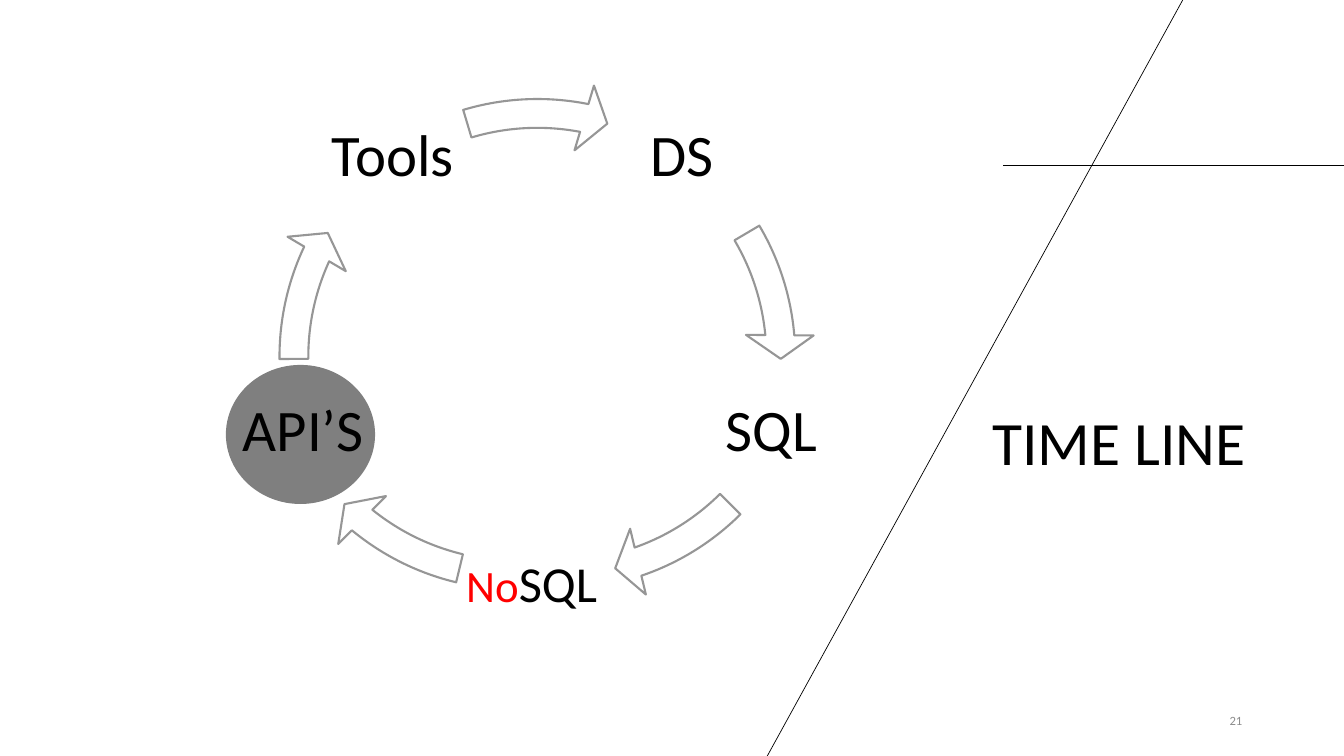
import math
from lxml import etree
from pptx import Presentation
from pptx.dml.color import RGBColor
from pptx.enum.shapes import MSO_CONNECTOR, MSO_SHAPE
from pptx.enum.text import MSO_ANCHOR, MSO_AUTO_SIZE, PP_ALIGN
from pptx.oxml.ns import qn
from pptx.util import Inches, Pt

LINE = MSO_CONNECTOR.STRAIGHT
CIRCULAR_ARROW, OVAL = MSO_SHAPE.CIRCULAR_ARROW, MSO_SHAPE.OVAL
MIDDLE, TOP = MSO_ANCHOR.MIDDLE, MSO_ANCHOR.TOP
LEFT, CENTER, RIGHT = PP_ALIGN.LEFT, PP_ALIGN.CENTER, PP_ALIGN.RIGHT
GROW = MSO_AUTO_SIZE.SHAPE_TO_FIT_TEXT

WIDTH, HEIGHT = 13.33, 7.5
FONT = "Calibri"
BLACK, WHITE, RED = "000000", "FFFFFF", "FF0000"
ARROW_GRAY, NUMBER_GRAY = "969696", "8C8C8C"

# Clockwise from upper right: runs (text, size, colour), width, inset, vertical shift
STEPS = [
    ([("DS", 42, BLACK)], 1.47, 0.06, 0),
    ([("SQL", 42, BLACK)], 1.47, 0.06, 0),
    ([("No", 32, RED), ("SQL ", 36, BLACK)], 1.56, 0.04, -0.17),
    ([("API’S", 42, BLACK)], 1.47, 0.06, 0),
    ([("Tools", 42, BLACK)], 1.47, 0.06, 0),
]
# Arrow after each step: start and end angle in degrees, shift of its ring
ARROWS = [
    (329.42, 354.9, 0, 0),
    (45.15, 70.95, 0.21, -0.25),
    (103.46, 129.26, -0.21, -0.25),
    (179.5, 204.99, 0, 0),
    (253.29, 281.11, 0, 0),
]
STEP_HEIGHT = 1.47


def color(hex_string):
    return RGBColor.from_string(hex_string)


def inches(*lengths):
    return [Inches(length) for length in lengths]


def write(shape, runs, align, anchor=MIDDLE, inset=None, spacing=None):
    frame = shape.text_frame
    frame.word_wrap = True
    frame.vertical_anchor = anchor
    if inset is not None:
        frame.margin_left = frame.margin_right = Inches(inset)
        frame.margin_top = frame.margin_bottom = Inches(inset)
    paragraph = frame.paragraphs[0]
    paragraph.alignment = align
    if spacing:
        paragraph.line_spacing = spacing
    for text, size, hex_string in runs:
        run = paragraph.add_run()
        run.text = text
        run.font.name = FONT
        run.font.size = Pt(size)
        run.font.color.rgb = color(hex_string)


def add_rule(slide, start, end):
    connector = slide.shapes.add_connector(LINE, *inches(*start, *end))
    connector.line.color.rgb = color(BLACK)
    connector.line.width = Pt(0.5)
    etree.SubElement(connector._element.spPr, qn("a:effectLst"))


def add_backdrop(slide, width, height):
    """Crossing lines on the right side of the slide."""
    add_rule(slide, (9.95, 1.64), (width, 1.64))
    add_rule(slide, (0.88 * width, 0), (7.61, height))


def add_arrow(slide, center_x, center_y, size, start, end):
    arrow = slide.shapes.add_shape(
        CIRCULAR_ARROW,
        *inches(center_x - size / 2, center_y - size / 2, size, size))
    arrow.shadow.inherit = False
    # One degree is 0.6 of an adjustment unit
    values = [0.052, 5.59 * 0.6, end * 0.6, start * 0.6, 0.061]
    for index, value in enumerate(values):
        arrow.adjustments[index] = value
    arrow.fill.solid()
    arrow.fill.fore_color.rgb = color(WHITE)
    arrow.line.color.rgb = color(ARROW_GRAY)
    arrow.line.width = Pt(1.5)


def add_cycle(slide, left, top, size):
    """Steps evenly spaced on a circle, each followed by its arrow."""
    center_x, center_y = left + size / 2, top + size / 2
    radius = 0.444 * size
    for index, (step, arrow) in enumerate(zip(STEPS, ARROWS)):
        runs, width, inset, shift = step
        angle = math.radians(-54 + index * 360 / len(STEPS))
        x = center_x + radius * math.cos(angle)
        y = center_y + radius * math.sin(angle) + shift
        label = slide.shapes.add_textbox(
            *inches(x - width / 2, y - STEP_HEIGHT / 2, width, STEP_HEIGHT))
        write(label, runs, CENTER, inset=inset, spacing=0.9)
        start, end, shift_x, shift_y = arrow
        add_arrow(slide, center_x + shift_x, center_y + shift_y, size, start, end)


def add_highlight(slide, *box):
    """Half-transparent disc over the current step."""
    disc = slide.shapes.add_shape(OVAL, *inches(*box))
    disc.shadow.inherit = False
    disc.fill.solid()
    disc.fill.fore_color.rgb = color(BLACK)
    disc.line.fill.background()
    fill_color = disc._element.spPr.find(qn("a:solidFill"))[0]
    etree.SubElement(fill_color, qn("a:alpha"), val="50000")


def place_title(slide, *box):
    title = slide.shapes.title
    title.left, title.top, title.width, title.height = inches(*box)
    write(title, [("TIME LINE", 44, BLACK)], LEFT, anchor=TOP)
    title.text_frame.auto_size = GROW


def add_page_number(slide, *box):
    number = slide.shapes.add_textbox(*inches(*box))
    write(number, [("21", 9, NUMBER_GRAY)], RIGHT)


def main():
    presentation = Presentation()
    presentation.slide_width, presentation.slide_height = inches(WIDTH, HEIGHT)
    slide = presentation.slides.add_slide(presentation.slide_layouts[5])
    add_backdrop(slide, WIDTH, HEIGHT)
    add_page_number(slide, 9.42, 6.95, 3, 0.4)
    add_cycle(slide, 2.58, 0.79, 5.5)
    place_title(slide, 9.74, 3.96, 3.38, 0.84)
    add_highlight(slide, 2.24, 3.62, 1.48, 1.38)
    presentation.save("out.pptx")


if __name__ == "__main__":
    main()
